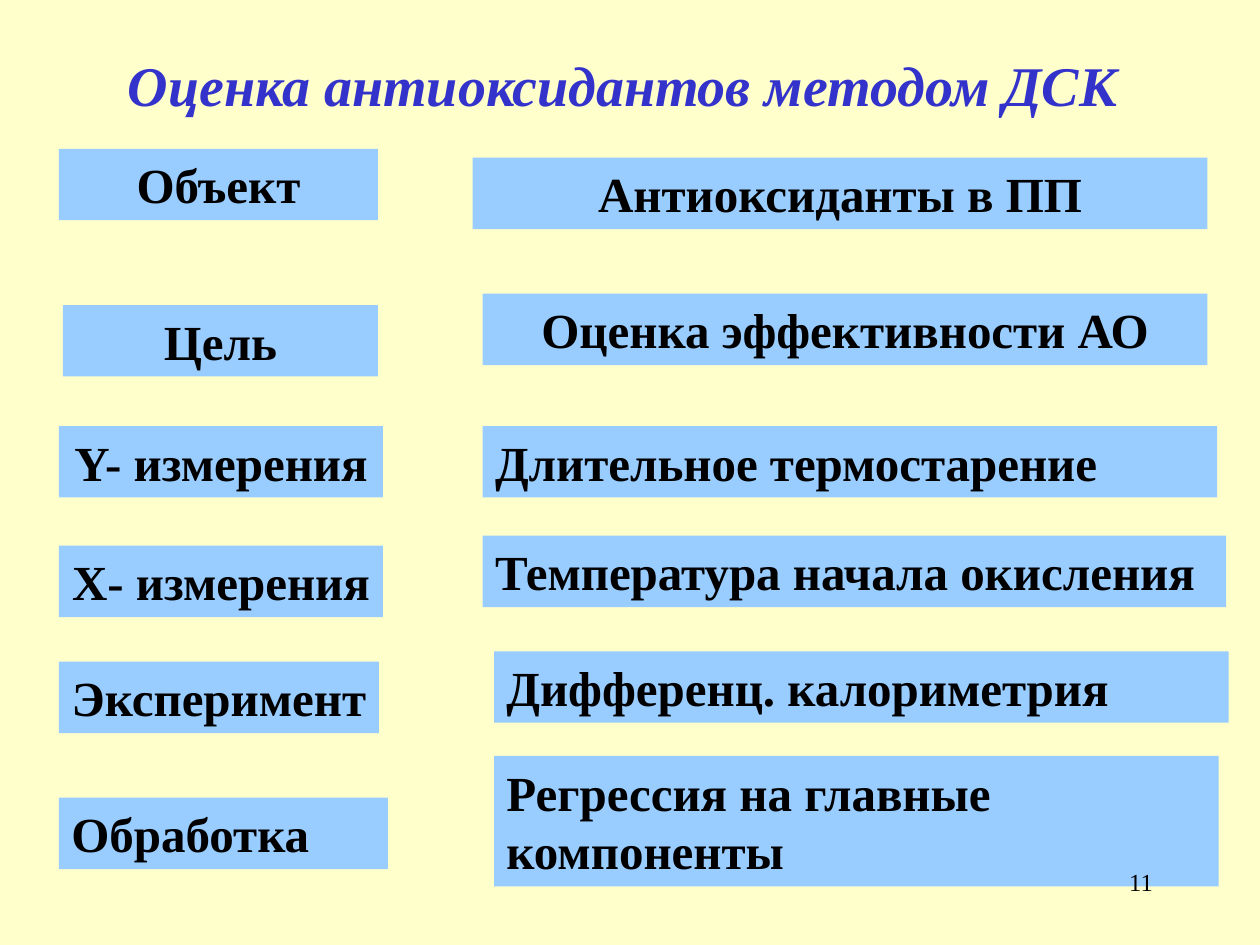
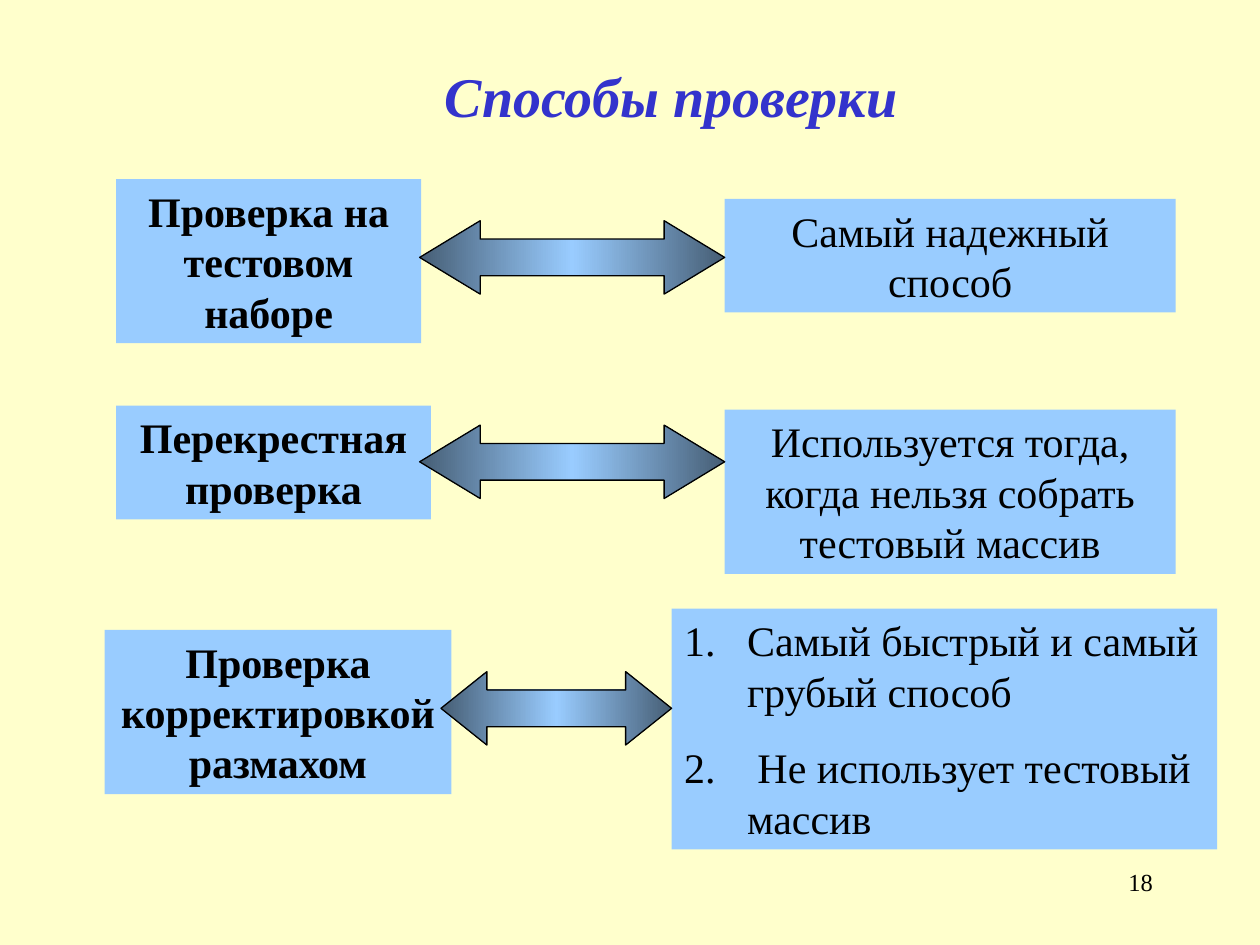
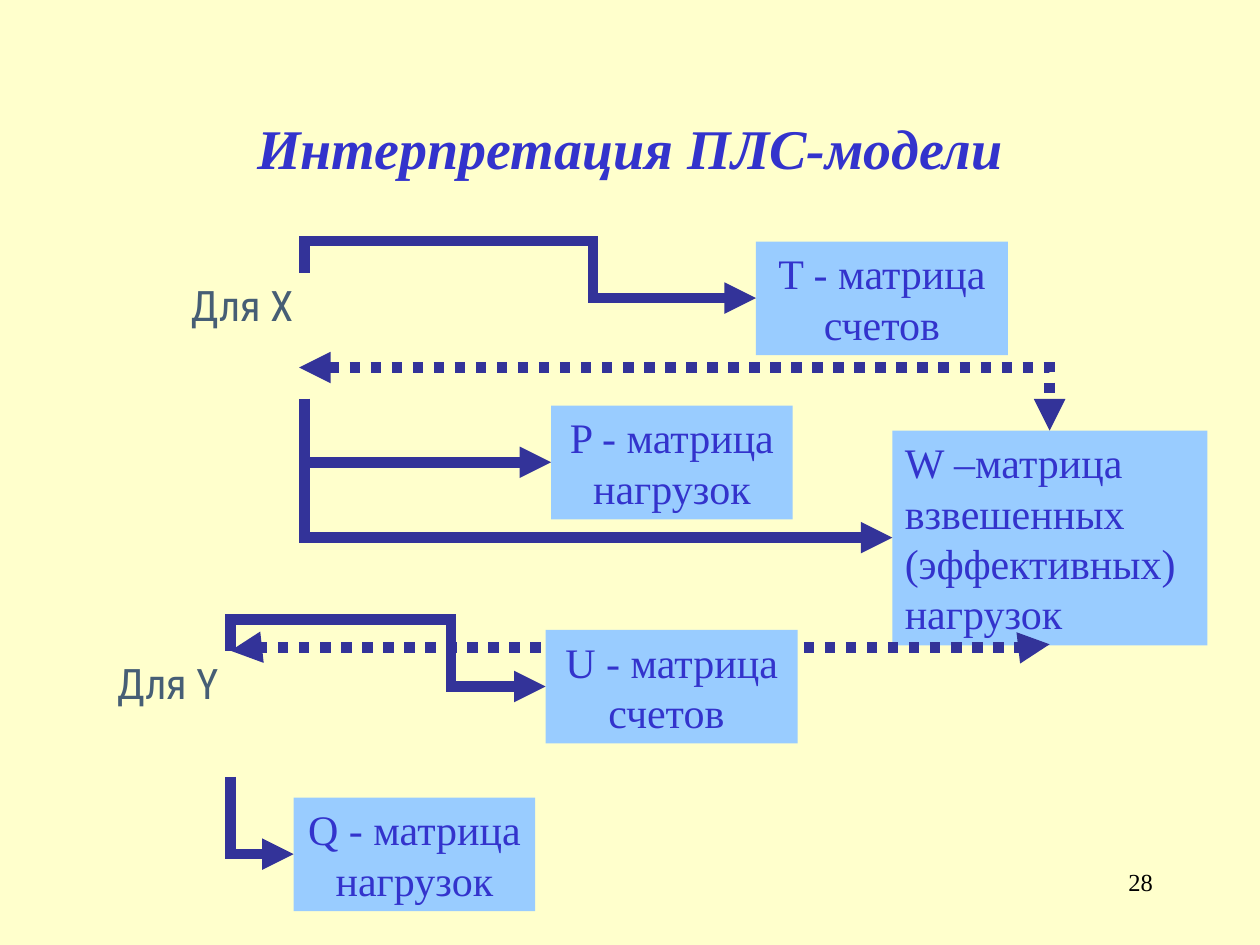
"""Three slides on antioxidant assessment, validation and PLS interpretation."""
from copy import deepcopy
from dataclasses import dataclass

from lxml import etree
from pptx import Presentation
from pptx.dml.color import RGBColor
from pptx.enum.dml import MSO_LINE
from pptx.enum.shapes import MSO_CONNECTOR, MSO_SHAPE
from pptx.enum.text import MSO_ANCHOR, MSO_AUTO_SIZE, PP_ALIGN
from pptx.oxml.ns import qn
from pptx.util import Cm, Pt

RECT, ARROW = MSO_SHAPE.RECTANGLE, MSO_SHAPE.LEFT_RIGHT_ARROW
ELBOW, DOTTED = MSO_CONNECTOR.ELBOW, MSO_LINE.ROUND_DOT
TOP, MIDDLE = MSO_ANCHOR.TOP, MSO_ANCHOR.MIDDLE
GROW = MSO_AUTO_SIZE.SHAPE_TO_FIT_TEXT
LEFT, CENTER, RIGHT = PP_ALIGN.LEFT, PP_ALIGN.CENTER, PP_ALIGN.RIGHT
TITLE_ONLY = 5

SERIF, CONDENSED = "Times New Roman", "Roboto Condensed"
COLORS = {
    "background": "FFFFCC",
    "title": "3333CC",
    "box": "99CCFF",
    "text": "000000",
    "matrix": "3333CC",
    "slate": "465E75",
    "connector": "333399",
}


@dataclass
class Box:
    """A filled text box; lengths in cm, height follows the line count."""
    left: float
    top: float
    width: float
    texts: list[str]
    lines: int = 1
    size: int = 28
    color: str = "text"
    bold: bool = False
    align: PP_ALIGN = CENTER
    wrap: bool = True
    before: float = 15
    numbered: bool = False

    @property
    def height(self) -> float:
        """Insets, text lines and gaps between paragraphs."""
        gaps = (len(self.texts) - 1) * self.before * 0.035
        return 0.25 + self.lines * self.size * 0.0425 + gaps


@dataclass
class Arrow:
    """A shaded double arrow, in cm."""
    left: float
    top: float
    width: float
    head: float


@dataclass
class Elbow:
    """A bent connector between two points, in cm."""
    start: tuple[float, float]
    end: tuple[float, float]
    preset: str = "bentConnector2"
    rotation: int = 270
    flips: str = "H"
    adjust: tuple[int, ...] = ()
    dotted: bool = False


def rgb(name: str) -> RGBColor:
    """Look up a colour."""
    return RGBColor.from_string(COLORS[name])


def add_run(p, text: str, size: int, color: str, bold=False, italic=False, font=SERIF) -> None:
    """Add one formatted run."""
    r = p.add_run()
    r.text = text
    r.font.name, r.font.size = font, Pt(size)
    r.font.bold, r.font.italic = bold, italic
    r.font.color.rgb = rgb(color)


def add_number(p) -> None:
    """Number a paragraph with a hanging indent."""
    pPr = p._p.get_or_add_pPr()
    pPr.set("marL", str(Cm(1.27)))
    pPr.set("indent", str(-Cm(1.27)))
    clr = etree.SubElement(pPr, qn("a:buClr"))
    etree.SubElement(clr, qn("a:srgbClr"), val=COLORS["text"])
    etree.SubElement(pPr, qn("a:buAutoNum"), type="arabicPeriod")


def add_box(shapes, box: Box) -> None:
    """Draw a filled text box."""
    sp = shapes.add_shape(RECT, Cm(box.left), Cm(box.top), Cm(box.width), Cm(box.height))
    sp.shadow.inherit = False
    sp.fill.solid()
    sp.fill.fore_color.rgb = rgb("box")
    sp.line.fill.background()
    tf = sp.text_frame
    tf.word_wrap, tf.auto_size, tf.vertical_anchor = box.wrap, GROW, TOP
    for i, text in enumerate(box.texts):
        p = tf.add_paragraph() if i else tf.paragraphs[0]
        p.alignment, p.space_before = box.align, Pt(box.before)
        if box.numbered:
            add_number(p)
        add_run(p, text, box.size, box.color, box.bold)


def add_arrow(shapes, arrow: Arrow) -> None:
    """Draw a double arrow shaded from dark ends to a light middle."""
    sp = shapes.add_shape(ARROW, Cm(arrow.left), Cm(arrow.top), Cm(arrow.width), Cm(1.48))
    sp.shadow.inherit = False
    sp.adjustments[0], sp.adjustments[1] = 0.5, arrow.head
    sp.fill.gradient()
    sp.fill.gradient_angle = 180
    stops = sp.element.spPr.find(qn("a:gradFill")).find(qn("a:gsLst"))
    stops.append(deepcopy(stops[0]))
    shades = ((0, "slate"), (0.5, "box"), (1, "slate"))
    for stop, (position, color) in zip(sp.fill.gradient_stops, shades):
        stop.position = position
        stop.color.rgb = rgb(color)
    sp.line.color.rgb = rgb("text")
    sp.line.width = Pt(0.75)


def add_elbow(s, elbow: Elbow) -> None:
    """Draw a bent connector, with its frame centred between its ends."""
    (x1, y1), (x2, y2) = elbow.start, elbow.end
    w, h = abs(x2 - x1), abs(y2 - y1)
    if elbow.rotation in (90, 270):
        w, h = h, w
    left, top = (x1 + x2 - w) / 2, (y1 + y2 - h) / 2
    cxn = s.shapes.add_connector(ELBOW, Cm(left), Cm(top), Cm(left + w), Cm(top + h))
    cxn.line.color.rgb = rgb("connector")
    cxn.line.width = Pt(6)
    spPr = cxn.element.spPr
    xfrm, geom = spPr.find(qn("a:xfrm")), spPr.find(qn("a:prstGeom"))
    xfrm.set("rot", str(elbow.rotation * 60000))
    for axis in elbow.flips:
        xfrm.set(f"flip{axis}", "1")
    geom.set("prst", elbow.preset)
    guides = geom.find(qn("a:avLst"))
    for i, value in enumerate(elbow.adjust, 1):
        etree.SubElement(guides, qn("a:gd"), name=f"adj{i}", fmla=f"val {value}")
    if elbow.dotted:
        cxn.line.dash_style = DOTTED
    ln = spPr.find(qn("a:ln"))
    etree.SubElement(ln, qn("a:miter"), lim="800000")
    for end in ("headEnd", "tailEnd") if elbow.dotted else ("tailEnd",):
        etree.SubElement(ln, qn(f"a:{end}"), type="triangle")
    etree.SubElement(spPr, qn("a:effectLst"))


def add_text(s, left: float, top: float, width: float, height: float):
    """Add an empty text box and return its text frame."""
    tf = s.shapes.add_textbox(Cm(left), Cm(top), Cm(width), Cm(height)).text_frame
    tf.word_wrap = True
    return tf


def add_variable(s, left: float, top: float, text: str) -> None:
    """Label a block of variables."""
    tf = add_text(s, left, top, 5.08, 2.54)
    tf.word_wrap = False
    add_run(tf.paragraphs[0], text, 24, "slate", font=CONDENSED)


def add_slide(prs, title: str, place: tuple[float, ...]):
    """Start a slide with its title."""
    s = prs.slides.add_slide(prs.slide_layouts[TITLE_ONLY])
    sp = s.shapes.title
    sp.left, sp.top, sp.width, sp.height = map(Cm, place)
    tf = sp.text_frame
    tf.vertical_anchor, tf.auto_size = MIDDLE, MSO_AUTO_SIZE.NONE
    p = tf.paragraphs[0]
    p.alignment = CENTER
    add_run(p, title, 32, "title", bold=True, italic=True)
    return s


def add_page_number(s, number: int) -> None:
    """Put the page number at the lower right."""
    p = add_text(s, 18.21, 17.35, 5.28, 1.27).paragraphs[0]
    p.alignment = RIGHT
    add_run(p, str(number), 14, "text")


def build_assessment(prs) -> None:
    """Antioxidant study: each aspect and its answer."""
    s = add_slide(prs, "Оценка антиоксидантов методом ДСК", (0.99, 0.99, 23.14, 1.4))
    boxes = [
        Box(1.19, 3, 6.43, ["Объект"]),
        Box(9.53, 3.18, 14.81, ["Антиоксиданты в ПП"]),
        Box(1.27, 6.15, 6.35, ["Цель"]),
        Box(9.73, 5.92, 14.61, ["Оценка эффективности АО"]),
        Box(1.19, 13.34, 6.45, ["Эксперимент"], wrap=False),
        Box(9.73, 8.59, 14.81, ["Длительное термостарение"], align=LEFT),
        Box(1.19, 16.08, 6.63, ["Обработка"], align=LEFT),
        Box(9.96, 15.24, 14.61, ["Регрессия на главные компоненты"], 2, align=LEFT),
        Box(1.19, 8.59, 6.53, ["Y- измерения"], wrap=False),
        Box(9.96, 13.13, 14.81, ["Дифференц. калориметрия"], align=LEFT),
        Box(1.19, 11, 6.53, ["X- измерения"], wrap=False),
        Box(9.73, 10.8, 14.99, ["Температура начала окисления"], align=LEFT),
    ]
    for box in boxes:
        box.bold, box.before = True, 21
        add_box(s.shapes, box)
    add_page_number(s, 11)


def build_validation(prs) -> None:
    """Validation methods and what each is good for."""
    s = add_slide(prs, "Способы проверки", (2.74, 1.07, 21.59, 1.7))
    methods = [
        Box(2.34, 3.61, 6.15, ["Проверка на тестовом наборе"], 3, 24, bold=True),
        Box(2.34, 8.18, 6.35, ["Перекрестная проверка"], 2, 24, bold=True),
        Box(2.11, 12.7, 6.99, ["Проверка корректировкой размахом"], 3, 24, bold=True),
    ]
    remarks = [
        (Box(14.61, 4.01, 9.09, ["Самый надежный способ"], 2, 24),
         Arrow(8.46, 4.45, 6.15, 0.825)),
        (Box(14.61, 8.26, 9.09,
             ["Используется тогда, когда нельзя собрать тестовый массив"], 3, 24),
         Arrow(8.46, 8.57, 6.15, 0.825)),
        (Box(13.54, 12.27, 11,
             ["Самый быстрый и самый грубый способ", " Не использует тестовый массив"],
             4, 24, align=LEFT, numbered=True),
         Arrow(8.89, 13.54, 4.65, 0.626)),
    ]
    for method in methods:
        add_box(s.shapes, method)
    for remark, arrow in remarks:
        group = s.shapes.add_group_shape()
        add_box(group.shapes, remark)
        add_arrow(group.shapes, arrow)
    add_page_number(s, 18)


def build_interpretation(prs) -> None:
    """Matrices of the PLS model linked to the X and Y blocks."""
    s = add_slide(prs, "Интерпретация ПЛС-модели", (1.91, 1.91, 21.59, 2.11))
    back = [
        Box(15.24, 4.87, 5.08, ["T - матрица счетов"], 2, 24, "matrix"),
        Box(5.92, 16.08, 4.87, ["Q - матрица нагрузок"], 2, 24, "matrix"),
        Box(17.99, 8.68, 6.35, ["W –матрица взвешенных (эффективных) нагрузок"],
            4, 24, "matrix", align=LEFT),
    ]
    front = [
        Box(11, 12.7, 5.08, ["U - матрица счетов "], 2, 24, "matrix"),
        Box(11.11, 8.18, 4.87, ["P - матрица нагрузок"], 2, 24, "matrix"),
    ]
    x_top, x_bottom = (6.14, 5.5), (6.14, 8.04)
    y_top, y_bottom = (4.65, 13.12), (4.65, 15.66)
    elbows = [
        Elbow(x_bottom, (11.11, 9.32)),
        Elbow(x_top, (15.24, 6.01), "bentConnector4", adjust=(-125200, 63900)),
        Elbow(x_bottom, (17.99, 10.84)),
        Elbow(y_top, (11, 13.84), "bentConnector4", adjust=(-88300, 70000)),
        Elbow(y_bottom, (5.92, 17.22)),
        Elbow(y_top, (21.16, 12.99), "bentConnector3", 90, "HV", (49600,), True),
        Elbow((6.03, 7.41), (21.16, 8.68), rotation=0, flips="", dotted=True),
    ]
    for box in back:
        add_box(s.shapes, box)
    add_variable(s, 3.6, 5.5, "Для X")
    add_variable(s, 2.11, 13.12, "Для Y")
    for elbow in elbows:
        add_elbow(s, elbow)
    for box in front:
        add_box(s.shapes, box)
    add_page_number(s, 28)


def main() -> None:
    """Build and save the slides."""
    prs = Presentation()
    prs.slide_width, prs.slide_height = Cm(25.4), Cm(19.05)
    fill = prs.slide_master.background.fill
    fill.solid()
    fill.fore_color.rgb = rgb("background")
    build_assessment(prs)
    build_validation(prs)
    build_interpretation(prs)
    prs.save("out.pptx")


if __name__ == "__main__":
    main()
